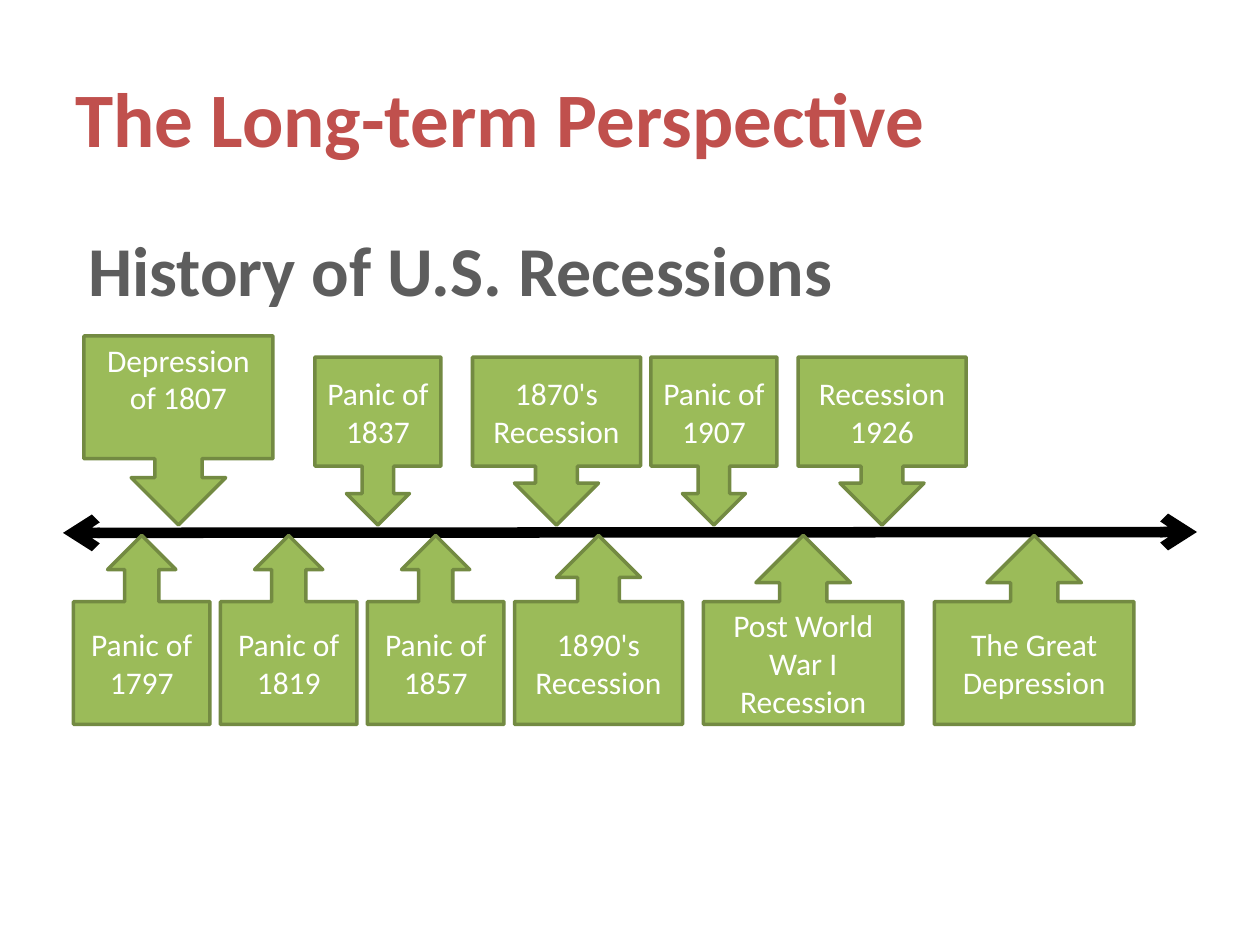
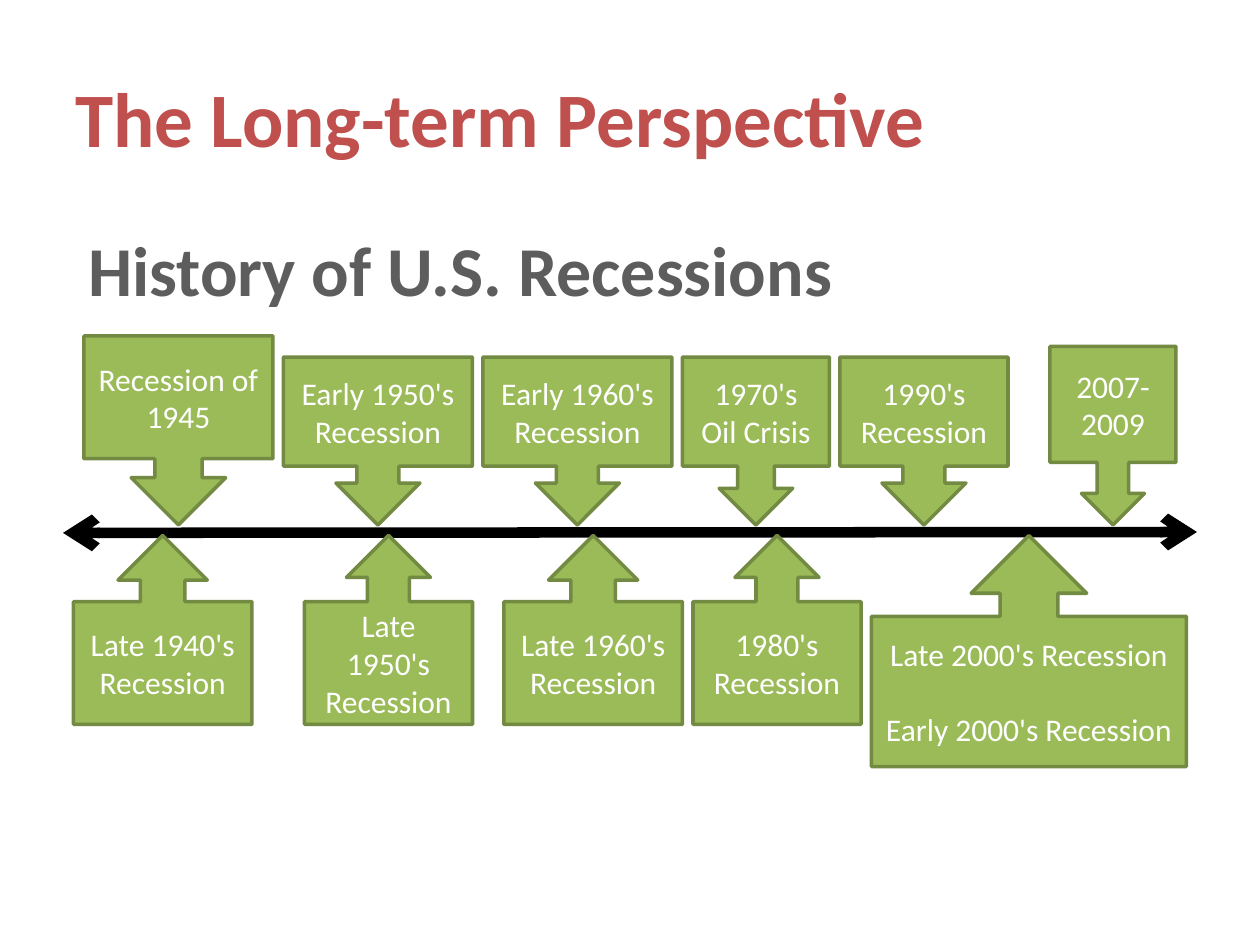
"""Build two timeline slides on the history of U.S. recessions."""
from dataclasses import dataclass

import pptx
import pptx.dml.color
import pptx.enum.shapes
import pptx.enum.text
import pptx.oxml.ns
import pptx.util
from lxml import etree

Pt = pptx.util.Pt
RGB = pptx.dml.color.RGBColor
SHAPE = pptx.enum.shapes.MSO_SHAPE
ALIGN = pptx.enum.text.PP_ALIGN
ANCHOR = pptx.enum.text.MSO_ANCHOR


@dataclass(frozen=True)
class Theme:
    font: str = "Calibri"
    title_color: RGB = RGB(0xC0, 0x50, 0x4D)
    subtitle_color: RGB = RGB(0x5D, 0x5D, 0x5D)
    callout_fill: RGB = RGB(0x9B, 0xBB, 0x59)
    callout_line: RGB = RGB(0x73, 0x8A, 0x42)
    callout_text: RGB = RGB(0xFF, 0xFF, 0xFF)
    axis_color: RGB = RGB(0, 0, 0)
    title_size: float = 44
    subtitle_size: float = 40
    callout_size: float = 18
    callout_border: float = 2
    axis_width: float = 6


@dataclass(frozen=True)
class Heading:
    text: str
    left: float
    top: float
    width: float
    height: float
    size: float
    color: RGB
    align: ALIGN
    anchor: ANCHOR
    wrap: bool


@dataclass(frozen=True)
class Event:
    lines: tuple[str, ...]
    left: float
    width: float
    height: float
    space_below: float = 0


THEME = Theme()
ABOVE_BOTTOM, BELOW_TOP = 300, 306
LINE_GAP = 21.5
INSET = 3.6

HEADINGS = (
    Heading("The Long-term Perspective", 36, 21.6, 648, 90, THEME.title_size,
            THEME.title_color, ALIGN.LEFT, ANCHOR.MIDDLE, True),
    Heading("History of U.S. Recessions", 41, 126, 444, 55.5, THEME.subtitle_size,
            THEME.subtitle_color, ALIGN.CENTER, ANCHOR.TOP, False),
)

TIMELINES = (
    (
        (
            Event(("Depression of 1807",), 48, 108, 108, LINE_GAP),
            Event(("Panic of 1837",), 180, 72, 96),
            Event(("1870's Recession",), 270, 96, 96),
            Event(("Panic of 1907",), 372, 72, 96),
            Event(("Recession 1926",), 456, 96, 96),
        ),
        (
            Event(("Panic of 1797",), 42, 78, 108),
            Event(("Panic of 1819",), 126, 78, 108),
            Event(("Panic of 1857",), 210, 78, 108),
            Event(("1890's Recession",), 294, 96, 108),
            Event(("Post World War I Recession",), 402, 114, 108),
            Event(("The Great Depression",), 534, 114, 108),
        ),
    ),
    (
        (
            Event(("Recession of 1945",), 48, 108, 108),
            Event(("Early 1950's Recession",), 162, 108, 96),
            Event(("Early 1960's Recession",), 276, 108, 96),
            Event(("1970's Oil Crisis",), 390, 84, 96),
            Event(("1990's Recession",), 480, 96, 96),
            Event(("2007-2009",), 600, 72, 102),
        ),
        (
            Event(("Late 1940's Recession",), 42, 102, 108),
            Event(("Late 1950's Recession",), 174, 96, 108),
            Event(("Late 1960's Recession",), 288, 102, 108),
            Event(("1980's Recession",), 396, 96, 108),
            Event(("Late 2000's Recession", "Early 2000's Recession"), 498, 180, 132),
        ),
    ),
)


def style_paragraph(p, size: float, color: RGB, align: ALIGN, bold: bool = False) -> None:
    p.alignment = align
    p.font.name = THEME.font
    p.font.size = Pt(size)
    p.font.bold = bold
    p.font.color.rgb = color


def add_heading(slide, heading: Heading) -> None:
    sp = slide.shapes.add_textbox(Pt(heading.left), Pt(heading.top),
                                  Pt(heading.width), Pt(heading.height))
    tf = sp.text_frame
    tf.word_wrap = heading.wrap
    tf.vertical_anchor = heading.anchor
    tf.text = heading.text
    style_paragraph(tf.paragraphs[0], heading.size, heading.color, heading.align, True)


def add_axis(slide) -> None:
    axis = slide.shapes.add_connector(pptx.enum.shapes.MSO_CONNECTOR.STRAIGHT,
                                      Pt(36), Pt(304.5), Pt(684), Pt(304))
    axis.line.color.rgb = THEME.axis_color
    axis.line.width = Pt(THEME.axis_width)
    ln = axis.line._get_or_add_ln()
    for end in ("a:headEnd", "a:tailEnd"):
        etree.SubElement(ln, pptx.oxml.ns.qn(end), type="arrow")
    etree.SubElement(ln.getparent(), pptx.oxml.ns.qn("a:effectLst"))


def add_callout(slide, event: Event, kind: SHAPE, top: float) -> None:
    sp = slide.shapes.add_shape(kind, Pt(event.left), Pt(top),
                                Pt(event.width), Pt(event.height))
    sp.shadow.inherit = False
    sp.fill.solid()
    sp.fill.fore_color.rgb = THEME.callout_fill
    sp.line.color.rgb = THEME.callout_line
    sp.line.width = Pt(THEME.callout_border)
    tf = sp.text_frame
    tf.word_wrap = True
    tf.vertical_anchor = ANCHOR.MIDDLE
    tf.margin_bottom = Pt(INSET + event.space_below)
    tf.text = "\n".join(event.lines)
    for i, p in enumerate(tf.paragraphs):
        style_paragraph(p, THEME.callout_size, THEME.callout_text, ALIGN.CENTER)
        if i:
            p.space_before = Pt(LINE_GAP)


def add_timeline_slide(prs, above: tuple[Event, ...], below: tuple[Event, ...]) -> None:
    slide = prs.slides.add_slide(prs.slide_layouts[6])
    for heading in HEADINGS:
        add_heading(slide, heading)
    add_axis(slide)
    for event in above:
        add_callout(slide, event, SHAPE.DOWN_ARROW_CALLOUT, ABOVE_BOTTOM - event.height)
    for event in below:
        add_callout(slide, event, SHAPE.UP_ARROW_CALLOUT, BELOW_TOP)


def main() -> None:
    prs = pptx.Presentation()
    prs.slide_width, prs.slide_height = Pt(720), Pt(540)
    for above, below in TIMELINES:
        add_timeline_slide(prs, above, below)
    prs.save("out.pptx")


if __name__ == "__main__":
    main()
